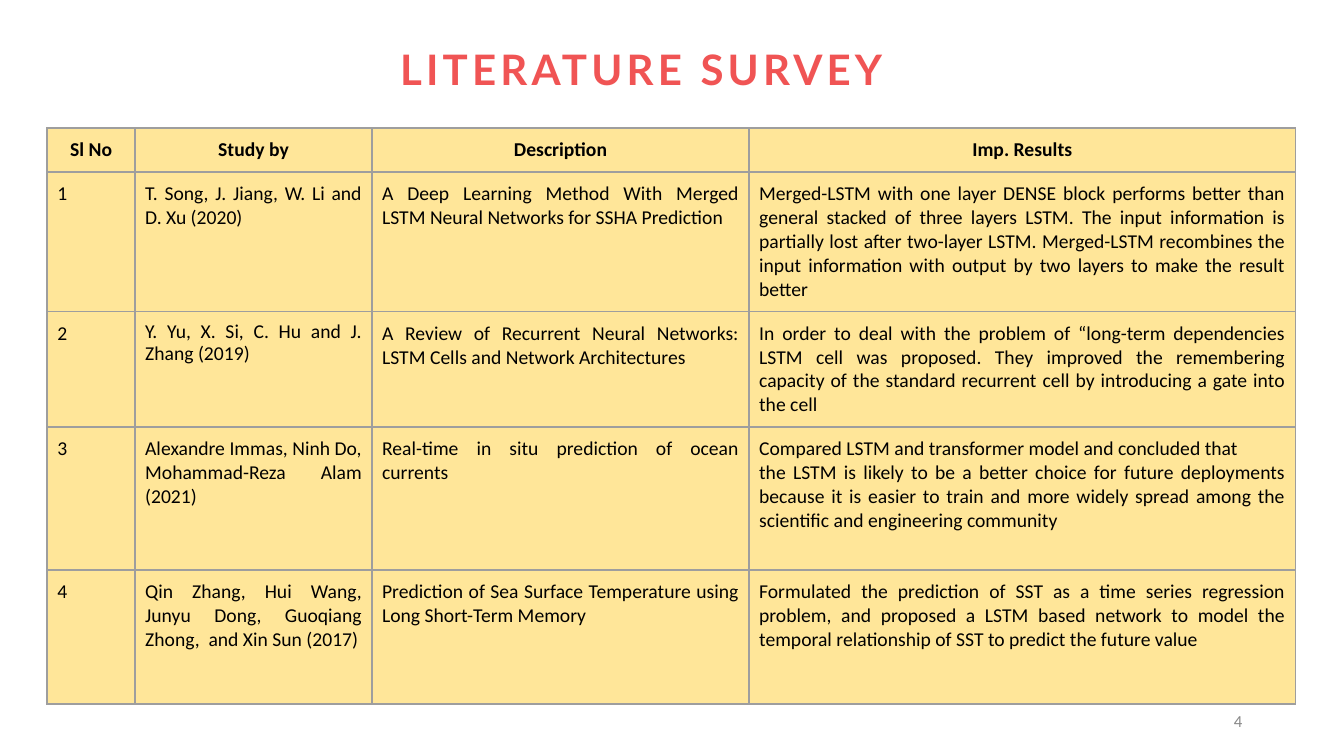
from lxml import etree
from pptx import Presentation
from pptx.dml.color import RGBColor
from pptx.enum import text
from pptx.oxml import ns
from pptx.util import Inches, Pt

CORAL = RGBColor(0xF0, 0x54, 0x54)
SAND = RGBColor(0xFF, 0xE6, 0x99)
BLACK = RGBColor(0x00, 0x00, 0x00)
GREY = RGBColor(0x88, 0x88, 0x88)
BORDER_GREY = RGBColor(0x9E, 0x9E, 0x9E)

COLUMN_WIDTHS = (0.87, 2.35, 3.74, 5.42)
ROW_HEIGHTS = (0.41, 1.28, 1.06, 1.42, 1.33)
HEADINGS = ("Sl No", "Study by", "Description", "Imp. Results")
STUDIES = (
    ("T. Song, J. Jiang, W. Li and D. Xu (2020)",
     "A Deep Learning Method With Merged LSTM Neural Networks for SSHA Prediction",
     "Merged-LSTM with one layer DENSE block performs better than general stacked of "
     "three layers LSTM. The input information is partially lost after two-layer LSTM. "
     "Merged-LSTM recombines the input information with output by two layers to make "
     "the result better"),
    ("Y. Yu, X. Si, C. Hu and J. Zhang (2019)",
     "A Review of Recurrent Neural Networks: LSTM Cells and Network Architectures",
     "In order to deal with the problem of “long-term dependencies LSTM cell was "
     "proposed. They improved the remembering capacity of the standard recurrent cell "
     "by introducing a gate into the cell"),
    ("Alexandre Immas, Ninh Do, Mohammad-Reza Alam (2021)",
     "Real-time in situ prediction of ocean currents",
     "Compared LSTM and transformer model and concluded that\n"
     "the LSTM is likely to be a better choice for future deployments because it is "
     "easier to train and more widely spread among the scientific and engineering "
     "community"),
    ("Qin Zhang, Hui Wang, Junyu Dong, Guoqiang Zhong,  and Xin Sun (2017)",
     "Prediction of Sea Surface Temperature using Long Short-Term Memory",
     "Formulated the prediction of SST as a time series regression problem, and "
     "proposed a LSTM based network to model the temporal relationship of SST to "
     "predict the future value"),
)


def format_text(text_frame, font_name, size, color, alignment, bold=False):
    for paragraph in text_frame.paragraphs:
        paragraph.alignment = alignment
        for run in paragraph.runs:
            run.font.name = font_name
            run.font.size = Pt(size)
            run.font.bold = bold
            run.font.color.rgb = color


def add_text_box(slide, box, content, anchor):
    text_frame = slide.shapes.add_textbox(*map(Inches, box)).text_frame
    text_frame.word_wrap = True
    text_frame.vertical_anchor = anchor
    text_frame.text = content
    return text_frame


def add_title(slide, box):
    text_frame = add_text_box(slide, box, "LITERATURE SURVEY", text.MSO_ANCHOR.BOTTOM)
    format_text(text_frame, "Lato", 30, CORAL, text.PP_ALIGN.LEFT, bold=True)
    paragraph = text_frame.paragraphs[0]
    paragraph.line_spacing = 0.9
    paragraph.runs[0]._r.get_or_add_rPr().set("spc", "300")


def add_page_number(slide, box):
    text_frame = add_text_box(slide, box, "4", text.MSO_ANCHOR.MIDDLE)
    format_text(text_frame, "Calibri", 12, GREY, text.PP_ALIGN.RIGHT)


def set_borders(cell):
    properties = cell._tc.get_or_add_tcPr()
    for position, side in enumerate(("lnL", "lnR", "lnT", "lnB")):
        line = etree.Element(ns.qn(f"a:{side}"), w=str(Pt(1.5)))
        fill = etree.SubElement(line, ns.qn("a:solidFill"))
        etree.SubElement(fill, ns.qn("a:srgbClr"), val=str(BORDER_GREY))
        properties.insert(position, line)


def fill_cell(cell, content, is_heading):
    cell.fill.solid()
    cell.fill.fore_color.rgb = SAND
    cell.margin_left = cell.margin_right = Inches(0.1)
    cell.margin_top = cell.margin_bottom = Inches(0.1)
    cell.text_frame.text = content
    alignment = text.PP_ALIGN.CENTER if is_heading else text.PP_ALIGN.JUSTIFY
    format_text(cell.text_frame, "Calibri", 14, BLACK, alignment, bold=is_heading)
    set_borders(cell)


def add_survey_table(slide, box):
    rows = [HEADINGS]
    rows += [(str(number), *study) for number, study in enumerate(STUDIES, 1)]
    frame = slide.shapes.add_table(len(rows), len(HEADINGS), *map(Inches, box))
    table = frame.table
    for column, width in zip(table.columns, COLUMN_WIDTHS):
        column.width = Inches(width)
    for row, height in zip(table.rows, ROW_HEIGHTS):
        row.height = Inches(height)
    for row_index, row in enumerate(rows):
        for column_index, content in enumerate(row):
            fill_cell(table.cell(row_index, column_index), content, row_index == 0)
    table.cell(2, 1).text_frame.paragraphs[0].line_spacing = 0.9


def main():
    presentation = Presentation()
    presentation.slide_width = Inches(13.33)
    presentation.slide_height = Inches(7.5)
    slide = presentation.slides.add_slide(presentation.slide_layouts[6])
    add_survey_table(slide, (0.47, 1.27, sum(COLUMN_WIDTHS), sum(ROW_HEIGHTS)))
    add_page_number(slide, (9.42, 6.95, 3, 0.4))
    add_title(slide, (3.87, 0.38, 5.26, 0.61))
    presentation.save("out.pptx")


if __name__ == "__main__":
    main()
